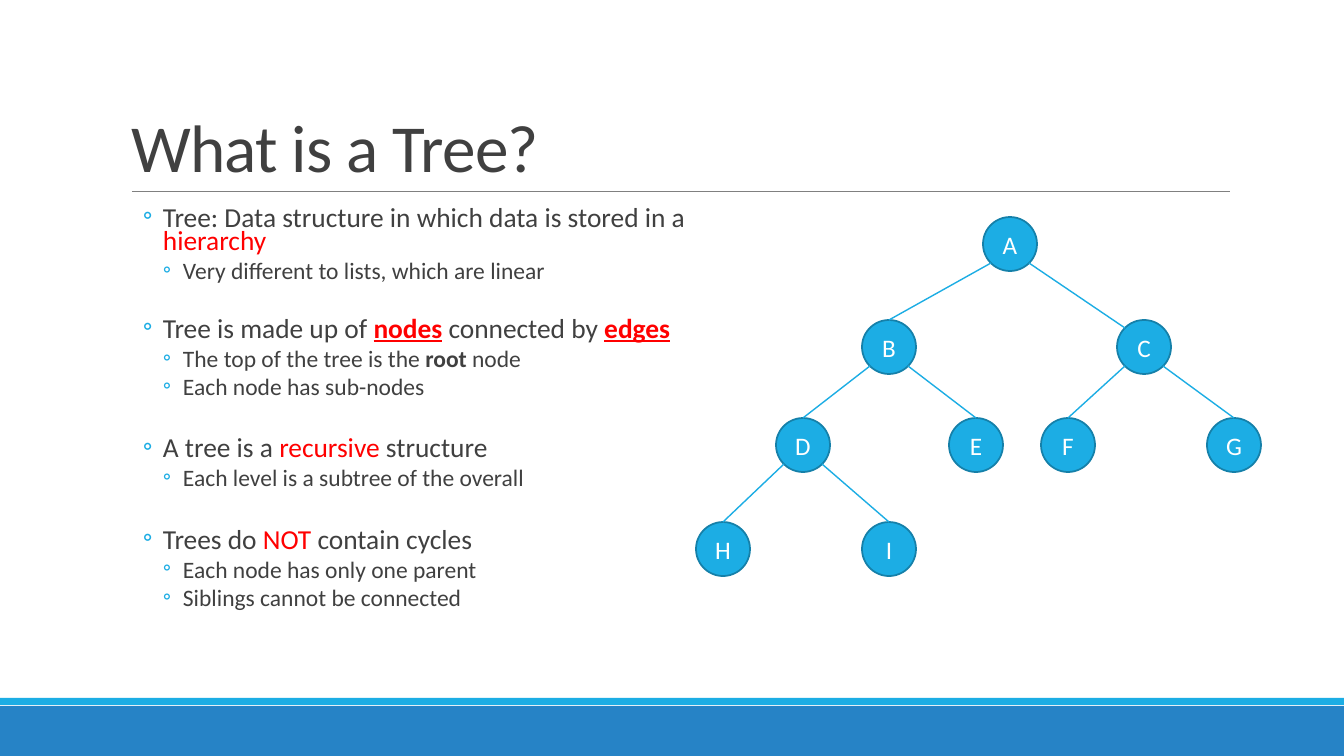
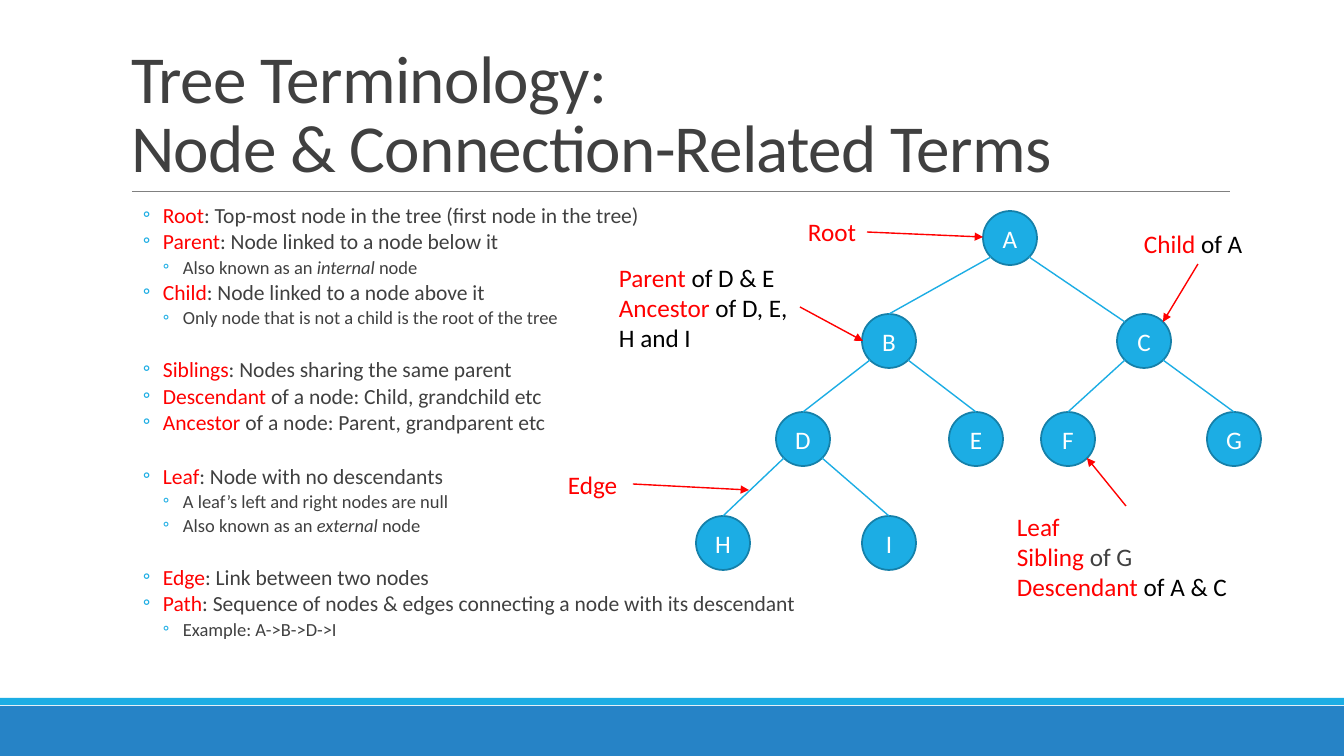
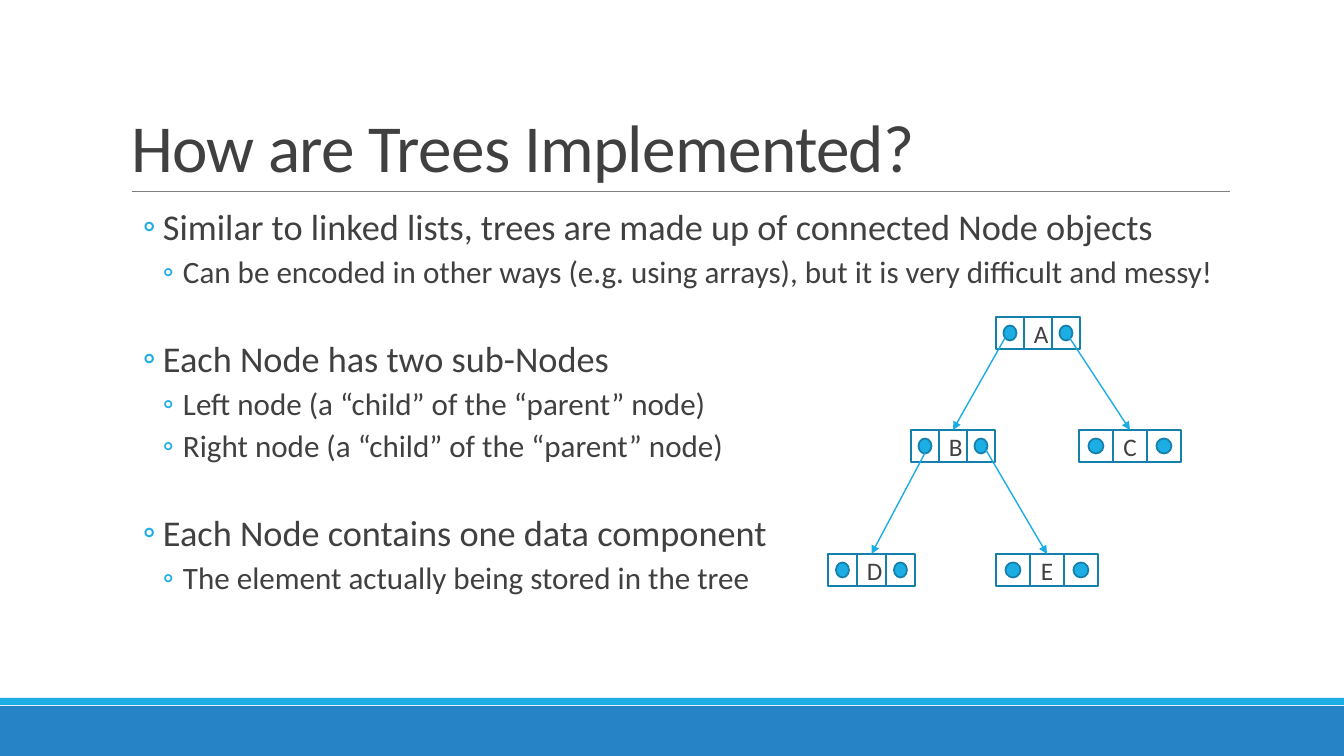
from lxml.etree import SubElement
from pptx import Presentation
from pptx.dml.color import RGBColor
from pptx.enum.shapes import MSO_CONNECTOR, MSO_SHAPE
from pptx.enum.text import MSO_ANCHOR, MSO_AUTO_SIZE, PP_ALIGN
from pptx.oxml.ns import qn
from pptx.util import Pt

EMU_PER_PX = 914400 / 100.8
FONT = "Calibri"

BLUE = RGBColor(0x26, 0x83, 0xC6)
CYAN = RGBColor(0x1C, 0xAD, 0xE4)
OUTLINE = RGBColor(0x15, 0x80, 0xA9)
RULE_GRAY = RGBColor(0x80, 0x80, 0x80)
DARK = RGBColor(0x40, 0x40, 0x40)
RED = RGBColor(0xFF, 0x00, 0x00)
BLACK = RGBColor(0x00, 0x00, 0x00)
WHITE = RGBColor(0xFF, 0xFF, 0xFF)

# Run styles: a run is a plain string or (text, style)
STYLES = {
    "red": {"color": RED},
    "dark": {"color": DARK},
    "key": {"color": RED, "bold": True, "underline": True},
    "bold": {"bold": True},
    "italic": {"italic": True},
}

# Body paragraphs: (level, runs, level of the line left free above; 0 for none)
TREE_POINTS = [
    (1, ["Tree: Data structure in which data is stored in a ", ("hierarchy", "red")], 0),
    (2, ["Very different to lists, which are linear"], 0),
    (1, ["Tree is made up of ", ("nodes", "key"), " connected by ", ("edges", "key")], 2),
    (2, ["The top of the tree is the ", ("root", "bold"), " node"], 0),
    (2, ["Each node has sub-nodes"], 0),
    (1, ["A tree is a ", ("recursive", "red"), " structure"], 1),
    (2, ["Each level is a subtree of the overall"], 0),
    (1, ["Trees do ", ("NOT", "red"), " contain cycles"], 1),
    (2, ["Each node has only one parent"], 0),
    (2, ["Siblings cannot be connected"], 0),
]
TERM_POINTS = [
    (1, [("Root", "red"), ": Top-most node in the tree (first node in the tree)"], 0),
    (1, [("Parent", "red"), ": Node linked to a node below it"], 0),
    (2, ["Also known as an ", ("internal", "italic"), " node"], 0),
    (1, [("Child", "red"), ": Node linked to a node above it"], 0),
    (2, ["Only node that is not a child is the root of the tree"], 0),
    (1, [("Siblings", "red"), ": Nodes sharing the same parent"], 1),
    (1, [("Descendant", "red"), " of a node: Child, grandchild etc"], 0),
    (1, [("Ancestor", "red"), " of a node: Parent, grandparent etc"], 0),
    (1, [("Leaf", "red"), ": Node with no descendants"], 1),
    (2, ["A leaf’s left and right nodes are null"], 0),
    (2, ["Also known as an ", ("external ", "italic"), "node"], 0),
    (1, [("Edge", "red"), ": Link between two nodes"], 1),
    (1, [("Path", "red"), ": Sequence of nodes & edges connecting a node with its descendant"], 0),
    (2, ["Example: A->B->D->I"], 0),
]
NODE_POINTS = [
    (1, ["Similar to linked lists, trees are made up of connected Node objects"], 0),
    (2, ["Can be encoded in other ways (e.g. using arrays), but it is very difficult and messy!"], 0),
    (1, ["Each Node has two sub-Nodes"], 2),
    (2, ["Left node (a “child” of the “parent” node)"], 0),
    (2, ["Right node (a “child” of the “parent” node)"], 0),
    (1, ["Each Node contains one data component"], 2),
    (2, ["The element actually being stored in the tree"], 0),
]

# Circle tree: node centres, and edges as (parent, child, site on the child)
NODE_SIZE = 54
TREE_NODES = {
    "A": (1010, 244), "B": (889, 347), "C": (1144, 347),
    "D": (803, 445), "E": (976, 445), "F": (1068, 445), "G": (1234, 445),
    "H": (723, 549), "I": (889, 549),
}
SITES = {
    "top": (0, -27), "top left": (-19, -19),
    "bottom left": (-19, 19), "bottom right": (19, 19),
}
TREE_EDGES = [
    ("A", "B", "top"), ("A", "C", "top left"), ("B", "D", "top"), ("B", "E", "top"),
    ("C", "F", "top"), ("C", "G", "top"), ("D", "H", "top"), ("D", "I", "top"),
]

# Labels: box, paragraphs, arrow start, arrow end
LABELS = [
    ((1134, 223, 127, 40), [[("Child", "red"), " of A"]], (1198, 264), (1163, 322)),
    ((798, 211, 69, 40), [[("Root", "red")]], (867, 232), (983, 237)),
    ((609, 257, 192, 102),
     [[("Parent", "red"), " of D & E"], [("Ancestor", "red"), " of D, E, H and I"]],
     (800, 307), (863, 341)),
    ((1007, 506, 238, 102),
     [[("Leaf", "red")], [("Sibling", "red"), (" of G", "dark")],
      [("Descendant", "red"), " of A & C"]],
     (1126, 506), (1087, 458)),
    ((558, 464, 75, 40), [[("Edge", "red")]], (633, 484), (749, 490)),
]

# Linked nodes: left, top, cell width; links as (child, arrow start)
CELL_HEIGHT = 32
DOT_HEIGHT = 15
LINKED_NODES = {
    "A": (996, 317, 28), "B": (911, 430, 28), "C": (1079, 430, 34),
    "D": (828, 554, 29), "E": (996, 554, 34),
}
LINKS = [("B", (1005, 338)), ("C", (1069, 337)), ("D", (925, 453)), ("E", (986, 450))]


def px(value):
    return round(value * EMU_PER_PX)


def write_runs(paragraph, runs, size, color):
    for item in runs:
        text, style = (item, None) if isinstance(item, str) else item
        look = STYLES.get(style, {})
        run = paragraph.add_run()
        run.text = text
        font = run.font
        font.name, font.size = FONT, Pt(size)
        font.color.rgb = look.get("color", color)
        font.bold = look.get("bold")
        font.italic = look.get("italic")
        font.underline = look.get("underline")


def add_box(slide, kind, box, fill=None, line=None, text="", color=WHITE):
    shape = slide.shapes.add_shape(kind, *map(px, box))
    shape.shadow.inherit = False
    if fill is None:
        shape.fill.background()
    else:
        shape.fill.solid()
        shape.fill.fore_color.rgb = fill
    if line is None:
        shape.line.fill.background()
    else:
        shape.line.color.rgb = line
        shape.line.width = Pt(1.25)
    if text:
        paragraph = shape.text_frame.paragraphs[0]
        paragraph.alignment = PP_ALIGN.CENTER
        write_runs(paragraph, [text], 18, color)
    return shape


def add_line(slide, start, end, color, width=1, arrow=False):
    connector = slide.shapes.add_connector(
        MSO_CONNECTOR.STRAIGHT, *map(px, (*start, *end)))
    connector.line.color.rgb = color
    connector.line.width = Pt(width)
    if arrow:
        SubElement(connector.line._get_or_add_ln(), qn("a:tailEnd"), type="triangle")
    SubElement(connector._element.spPr, qn("a:effectLst"))


def add_text_box(slide, box):
    shape = slide.shapes.add_textbox(*map(px, box))
    shape.text_frame.word_wrap = True
    return shape.text_frame


def paragraphs_for(frame, items):
    """Pair each item with a paragraph of the frame, adding them as needed."""
    for index, item in enumerate(items):
        yield (frame.add_paragraph() if index else frame.paragraphs[0]), item


def add_base_slide(presentation, title):
    """Title, rule and bottom bands shared by all slides."""
    slide = presentation.slides.add_slide(presentation.slide_layouts[5])
    add_box(slide, MSO_SHAPE.RECTANGLE, (0, 706, 1344, 50), BLUE)
    add_box(slide, MSO_SHAPE.RECTANGLE, (0, 698, 1344, 7), CYAN)
    add_line(slide, (132, 191), (1230, 191), RULE_GRAY, 0.5)

    shape = slide.shapes.title
    shape.left, shape.top, shape.width, shape.height = map(px, (121, 31, 1109, 160))
    frame = shape.text_frame
    frame.text = title
    frame.word_wrap = True
    frame.auto_size = MSO_AUTO_SIZE.NONE
    frame.vertical_anchor = MSO_ANCHOR.BOTTOM
    paragraph = frame.paragraphs[0]
    paragraph.alignment = PP_ALIGN.LEFT
    paragraph.line_spacing = 0.85
    for run in paragraph.runs:
        run.font.name, run.font.size = FONT, Pt(48)
        run.font.color.rgb = DARK
        run.font._element.set("spc", "-50")
    return slide


def add_body(slide, points, width, height, sizes, spacing):
    """Two-level bullet list; sizes maps a level to its text size."""
    before, after, line_factor = 2, 4, 1.22
    frame = add_text_box(slide, (121, 204, width, height))
    frame.margin_left = frame.margin_right = 0
    for paragraph, (level, runs, gap) in paragraphs_for(frame, points):
        free_line = sizes[gap] * line_factor * spacing + before + after if gap else 0
        paragraph.line_spacing = spacing
        paragraph.space_before = Pt(round(before + free_line, 1))
        paragraph.space_after = Pt(after)
        write_runs(paragraph, runs, sizes[level], DARK)
        properties = paragraph._p.get_or_add_pPr()
        properties.set("marL", str(px(22 + 20 * level)))
        properties.set("indent", str(px(-20)))
        bullet_color = SubElement(properties, qn("a:buClr"))
        SubElement(bullet_color, qn("a:srgbClr"), val=str(CYAN))
        SubElement(properties, qn("a:buFont"), typeface=FONT)
        SubElement(properties, qn("a:buChar"), char="◦")


def add_tree(slide, shift=0):
    """Circle tree, moved down by shift."""
    def site(name, place):
        (x, y), (dx, dy) = TREE_NODES[name], SITES[place]
        return x + dx, y + dy + shift

    for name, (x, y) in TREE_NODES.items():
        box = (x - NODE_SIZE // 2, y - NODE_SIZE // 2 + shift, NODE_SIZE, NODE_SIZE)
        add_box(slide, MSO_SHAPE.FLOWCHART_CONNECTOR, box, CYAN, OUTLINE, name)
    for parent, child, child_site in TREE_EDGES:
        is_left = TREE_NODES[child][0] < TREE_NODES[parent][0]
        parent_site = "bottom left" if is_left else "bottom right"
        add_line(slide, site(parent, parent_site), site(child, child_site), CYAN)


def add_labels(slide):
    for box, lines, start, end in LABELS:
        add_line(slide, start, end, RED, arrow=True)
        for paragraph, runs in paragraphs_for(add_text_box(slide, box), lines):
            write_runs(paragraph, runs, 18, BLACK)


def add_linked_nodes(slide):
    """Each node: pointer cell, data cell, pointer cell."""
    for name, (left, top, cell) in LINKED_NODES.items():
        dot_width = round(cell * 0.45)
        for column, text in enumerate(("", name, "")):
            x = left + column * cell
            add_box(slide, MSO_SHAPE.RECTANGLE, (x, top, cell, CELL_HEIGHT),
                    line=OUTLINE, text=text, color=DARK)
            if not text:
                dot = (x + (cell - dot_width) / 2, top + (CELL_HEIGHT - DOT_HEIGHT) / 2,
                       dot_width, DOT_HEIGHT)
                add_box(slide, MSO_SHAPE.OVAL, dot, CYAN, OUTLINE)
    for child, start in LINKS:
        left, top, cell = LINKED_NODES[child]
        add_line(slide, start, (left + cell * 1.5, top), CYAN, arrow=True)


def main():
    presentation = Presentation()
    presentation.slide_width, presentation.slide_height = px(1344), px(756)

    # What is a tree
    slide = add_base_slide(presentation, "What is a Tree?")
    add_body(slide, TREE_POINTS, 576, 444, {1: 19.6, 2: 16.8}, 0.7)
    add_tree(slide)

    # Terminology
    slide = add_base_slide(
        presentation, "Tree Terminology:\vNode & Connection-Related Terms")
    add_body(slide, TERM_POINTS, 679, 483, {1: 15.4, 2: 13.2}, 0.7)
    add_tree(slide, shift=-6)
    add_labels(slide)

    # Implementation
    slide = add_base_slide(presentation, "How are Trees Implemented?")
    add_body(slide, NODE_POINTS, 1109, 444, {1: 25.9, 2: 22.2}, 0.9)
    add_linked_nodes(slide)

    presentation.save("out.pptx")


if __name__ == "__main__":
    main()
